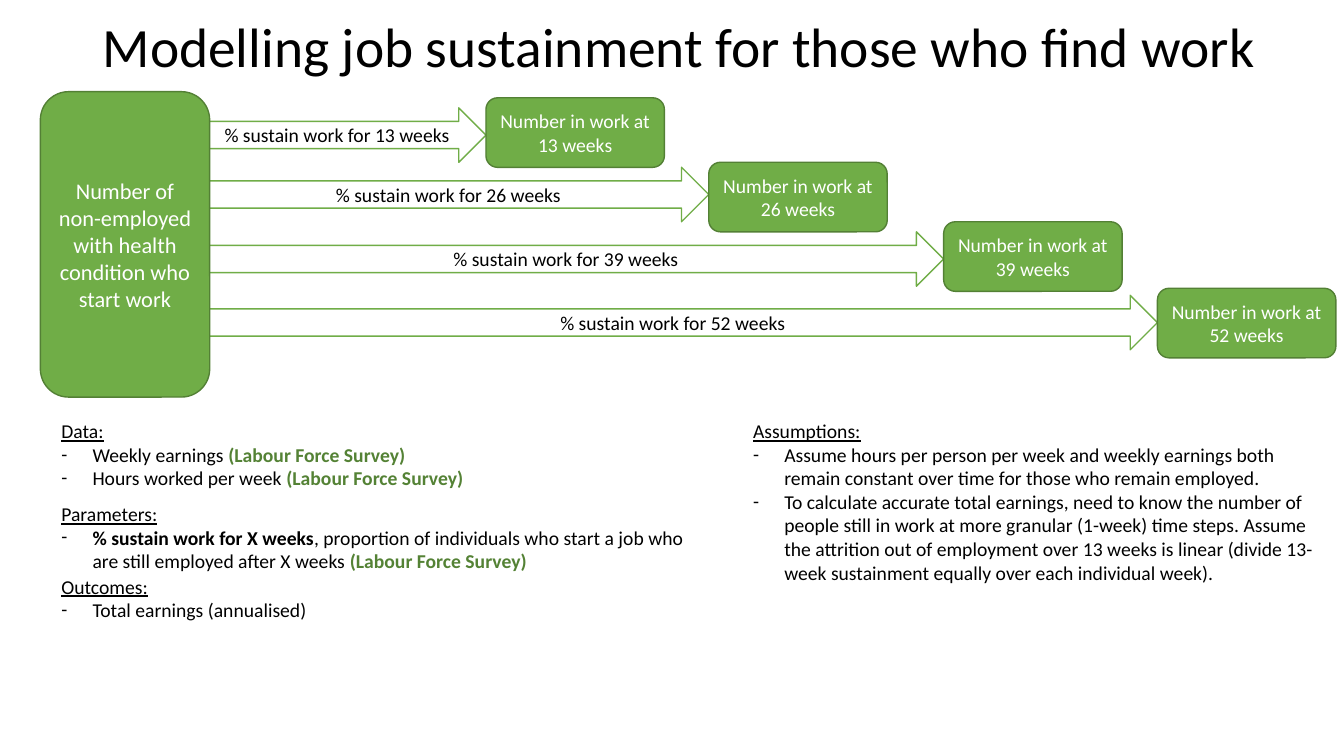
from lxml import etree
from pptx import Presentation
from pptx.dml.color import RGBColor
from pptx.enum.shapes import MSO_SHAPE
from pptx.enum.text import MSO_ANCHOR, PP_ALIGN
from pptx.oxml.ns import qn
from pptx.util import Inches, Pt

WHITE, BLACK = "FFFFFF", "000000"
GREEN, DARK_GREEN, SOURCE_GREEN = "70AD47", "538035", "548235"

deck = Presentation()
deck.slide_width, deck.slide_height = Inches(13.33), Inches(7.5)
page = deck.slides.add_slide(deck.slide_layouts[6])


def add_span(para, text, size=14, color=BLACK, bold=False, underline=False):
    span = para.add_run()
    span.text = text
    span.font.name = "Calibri"
    span.font.size = Pt(size)
    span.font.bold = bold
    span.font.underline = underline
    span.font.color.rgb = RGBColor.from_string(color)


def add_block(kind, left, top, width, height, text, fill, line, color, size=14):
    """Draw a filled shape with centred text."""
    block = page.shapes.add_shape(kind, Inches(left), Inches(top), Inches(width), Inches(height))
    block.shadow.inherit = False
    block.fill.solid()
    block.fill.fore_color.rgb = RGBColor.from_string(fill)
    block.line.color.rgb = RGBColor.from_string(line)
    block.line.width = Pt(1)
    block.text_frame.vertical_anchor = MSO_ANCHOR.MIDDLE
    para = block.text_frame.paragraphs[0]
    para.alignment = PP_ALIGN.CENTER
    add_span(para, text, size=size, color=color)


# Title
title = page.shapes.add_textbox(Inches(0.92), Inches(0.22), Inches(11.92), Inches(0.54))
title.text_frame.word_wrap = True
title.text_frame.vertical_anchor = MSO_ANCHOR.MIDDLE
title_para = title.text_frame.paragraphs[0]
title_para.line_spacing = 0.9
add_span(title_para, "Modelling job sustainment for those who find work", size=39.6)

# Flow: weeks, arrow top, outcome left, outcome top
stages = [
    (13, 1.07, 4.82, 0.97),
    (26, 1.66, 7.03, 1.61),
    (39, 2.3, 9.36, 2.2),
    (52, 2.93, 11.48, 2.86),
]
arrow_left = 2
for weeks, arrow_top, outcome_left, outcome_top in stages:
    add_block(MSO_SHAPE.RIGHT_ARROW, arrow_left, arrow_top, outcome_left - arrow_left, 0.54,
              f"% sustain work for {weeks} weeks", WHITE, GREEN, BLACK)
    add_block(MSO_SHAPE.ROUNDED_RECTANGLE, outcome_left, outcome_top, 1.77, 0.69,
              f"Number in work at {weeks} weeks", GREEN, DARK_GREEN, WHITE)
add_block(MSO_SHAPE.ROUNDED_RECTANGLE, 0.4, 0.91, 1.68, 3.03,
          "Number of non-employed with health condition who start work",
          GREEN, DARK_GREEN, WHITE, size=16)

# Notes: position, heading, bullets made of (text, format) spans
plain = {}
strong = {"bold": True}
source = ("(Labour Force Survey)", {"bold": True, "color": SOURCE_GREEN})
notes = [
    ((0.51, 4.93, 6.62, 0.81), "Parameters:", [
        [("% sustain work for X weeks", strong),
         (", proportion of individuals who start a job who are still employed after X weeks ", plain),
         source],
    ]),
    ((0.51, 4.11, 4.56, 1.04), "Data:", [
        [("Weekly earnings ", plain), source],
        [("Hours worked per week ", plain), source],
    ]),
    ((0.51, 5.65, 8.81, 0.57), "Outcomes:", [
        [("Total earnings (annualised)", plain)],
    ]),
    ((7.37, 4.11, 5.88, 1.99), "Assumptions:", [
        [("Assume hours per person per week and weekly earnings both remain constant "
          "over time for those who remain employed.", plain)],
        [("To calculate accurate total earnings, need to know the number of people still "
          "in work at more granular (1-week) time steps. Assume the attrition out of "
          "employment over 13 weeks is linear (divide 13-week sustainment equally over "
          "each individual week).", plain)],
    ]),
]
for place, heading, bullets in notes:
    box = page.shapes.add_textbox(*[Inches(length) for length in place])
    box.text_frame.word_wrap = True
    add_span(box.text_frame.paragraphs[0], heading, underline=True)
    for spans in bullets:
        para = box.text_frame.add_paragraph()
        properties = para._p.get_or_add_pPr()
        properties.set("marL", str(Inches(0.31)))
        properties.set("indent", str(-Inches(0.31)))
        etree.SubElement(properties, qn("a:buFont")).set("typeface", "Calibri")
        etree.SubElement(properties, qn("a:buChar")).set("char", "-")
        for text, style in spans:
            add_span(para, text, **style)

deck.save("out.pptx")
